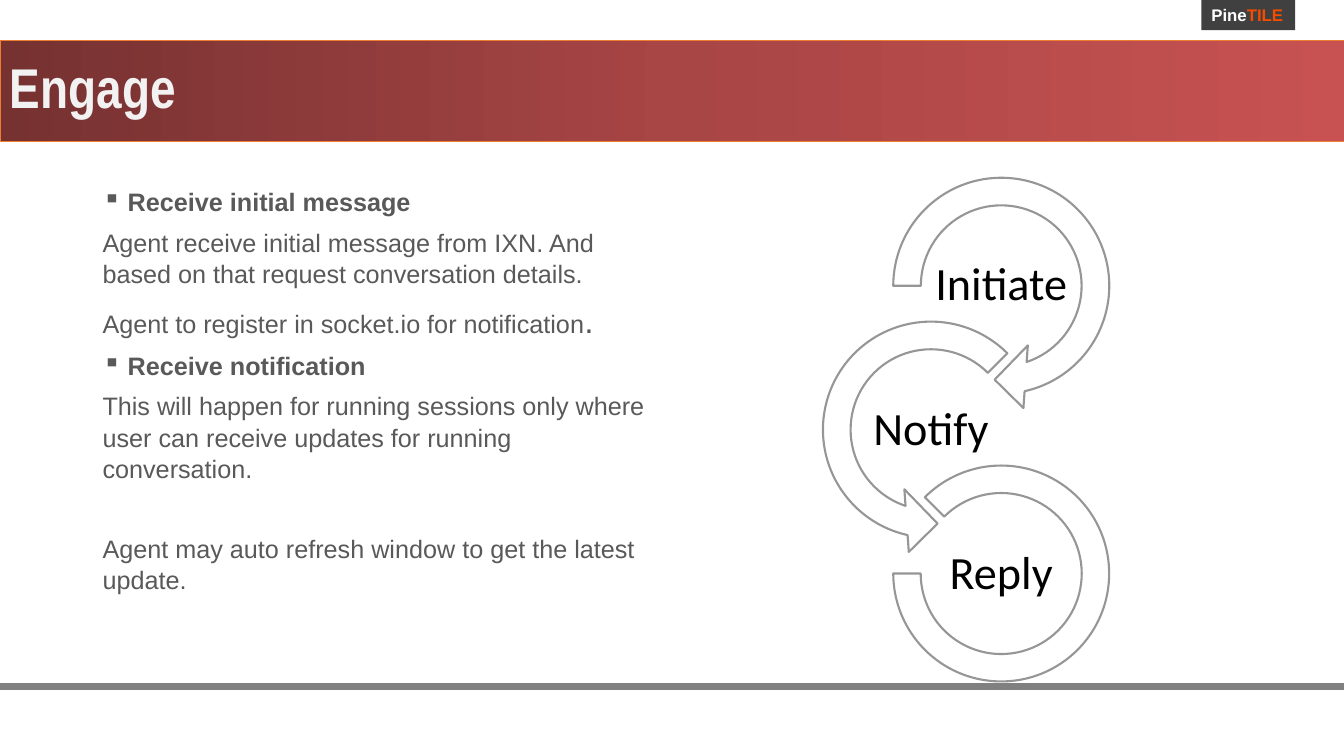
import copy

import pptx
import pptx.dml.color
import pptx.enum.shapes
import pptx.enum.text
import pptx.oxml
import pptx.oxml.ns
import pptx.util

Pt = pptx.util.Pt
RGB = pptx.dml.color.RGBColor
SHAPE = pptx.enum.shapes.MSO_SHAPE
ALIGN = pptx.enum.text.PP_ALIGN
ANCHOR = pptx.enum.text.MSO_ANCHOR
qn = pptx.oxml.ns.qn

# Colours
WHITE = RGB(0xFF, 0xFF, 0xFF)
BLACK = RGB(0, 0, 0)
CHARCOAL = RGB(0x40, 0x40, 0x40)
BADGE_ORANGE = RGB(0xF6, 0x4C, 0x00)
TITLE_GREY = RGB(0xF2, 0xF2, 0xF2)
BANNER_LINE = RGB(0xED, 0x7D, 0x31)
TEXT_GREY = RGB(0x59, 0x59, 0x59)
RING_GREY = RGB(0x96, 0x96, 0x96)
RULE_GREY = RGB(0x80, 0x80, 0x80)
BANNER_STOPS = [(0, RGB(0x76, 0x31, 0x31)), (0.5, RGB(0xA8, 0x45, 0x45)),
                (1, RGB(0xC8, 0x52, 0x52))]

# Content
TITLE = "Engage"
BADGE = [("Pine", WHITE), ("TILE", BADGE_ORANGE)]
NORMAL_GAP, WIDE_GAP = 6.5, 34.5
# Each note: is a heading, space before, runs of (text, size)
NOTES = [
    (True, NORMAL_GAP, [("Receive initial message", 18)]),
    (False, NORMAL_GAP, [("Agent receive initial message from IXN. And based on "
                          "that request conversation details.", 18)]),
    (False, NORMAL_GAP, [("Agent to register in socket.io for notification", 18),
                         (".", 24)]),
    (True, NORMAL_GAP, [("Receive notification", 18)]),
    (False, NORMAL_GAP, [("This will happen for running sessions only where user can "
                          "receive updates for running conversation.", 18)]),
    (False, WIDE_GAP, [("Agent may auto refresh window to get the latest update.", 18)]),
]
# Each step: label, shape, diameter, centre x, adjustments
STEPS = [
    ("Initiate", SHAPE.CIRCULAR_ARROW, 179.4, 715.2, (0.11, 11.423, 45, 108, 0.125)),
    ("Notify", SHAPE.LEFT_CIRCULAR_ARROW, 179.4, 665, (0.11, 11.423, 63, 189, 0.125)),
    ("Reply", SHAPE.BLOCK_ARC, 154.2, 715.2, (135, 108, 0.127)),
]

# Layout
PAGE_W, PAGE_H = 960, 540
FIRST_CENTRE_Y = 204.1
RING_PITCH, LABEL_PITCH = 102.8, 103.3
LABEL_W, LABEL_H = 99.4, 49.7


def add_run(para, text, font, size, color, bold=False):
    span = para.add_run()
    span.text = text
    span.font.name = font
    span.font.size = Pt(size)
    span.font.bold = bold
    span.font.color.rgb = color


def add_box(shapes, left, top, width, height, wrap=True):
    box = shapes.add_textbox(Pt(left), Pt(top), Pt(width), Pt(height))
    box.text_frame.word_wrap = wrap
    return box


def add_bullet(para):
    props = para._p.get_or_add_pPr()
    props.set("marL", str(Pt(18)))
    props.set("indent", str(-Pt(18)))
    pptx.oxml.ns.nsdecls("a")
    bullet = props.makeelement(qn("a:buChar"), {"char": "▪"})
    props.append(bullet)


deck = pptx.Presentation()
deck.slide_width, deck.slide_height = Pt(PAGE_W), Pt(PAGE_H)
page = deck.slides.add_slide(deck.slide_layouts[6])

# Footer rule
rule = page.shapes.add_connector(pptx.enum.shapes.MSO_CONNECTOR.STRAIGHT,
                                 Pt(0), Pt(490.3), Pt(PAGE_W), Pt(490.3))
rule.line.color.rgb = RULE_GREY
rule.line.width = Pt(4.5)
rule_props = rule._element.spPr
rule_props.append(rule_props.makeelement(qn("a:effectLst"), {}))

# Badge
badge = add_box(page.shapes, 858.2, 0, 67, 21.6, wrap=False)
badge.fill.solid()
badge.fill.fore_color.rgb = CHARCOAL
for text, color in BADGE:
    add_run(badge.text_frame.paragraphs[0], text, "Arial", 12, color, True)

# Title banner
banner = page.shapes.add_shape(SHAPE.RECTANGLE, Pt(0), Pt(28.8), Pt(PAGE_W), Pt(72))
banner.shadow.inherit = False
banner.line.color.rgb = BANNER_LINE
banner.line.width = Pt(0.5)
banner.fill.gradient()
banner.fill.gradient_angle = 0
stop_list = banner._element.spPr.find(qn("a:gradFill")).find(qn("a:gsLst"))
stop_list.append(copy.deepcopy(stop_list[0]))
for stop, (position, color) in zip(banner.fill.gradient_stops, BANNER_STOPS):
    stop.position = position
    stop.color.rgb = color
banner.text_frame.vertical_anchor = ANCHOR.MIDDLE
para = banner.text_frame.paragraphs[0]
para.alignment = ALIGN.LEFT
para.line_spacing = 0.9
add_run(para, TITLE, "Arial Narrow", 40, TITLE_GREY, True)

# Step rings, each with its label on top
cycle = page.shapes.add_group_shape()
for index, (label, kind, size, centre_x, adjustments) in enumerate(STEPS):
    ring_y = FIRST_CENTRE_Y + index * RING_PITCH
    ring = cycle.shapes.add_shape(kind, Pt(centre_x - size / 2), Pt(ring_y - size / 2),
                                  Pt(size), Pt(size))
    ring.shadow.inherit = False
    for number, value in enumerate(adjustments):
        ring.adjustments[number] = value
    ring.fill.solid()
    ring.fill.fore_color.rgb = WHITE
    ring.line.color.rgb = RING_GREY
    ring.line.width = Pt(1.5)

    label_y = FIRST_CENTRE_Y + index * LABEL_PITCH
    box = add_box(cycle.shapes, centre_x - LABEL_W / 2, label_y - LABEL_H / 2,
                  LABEL_W, LABEL_H)
    frame = box.text_frame
    frame.vertical_anchor = ANCHOR.MIDDLE
    frame.margin_left = frame.margin_right = Pt(1.5)
    frame.margin_top = frame.margin_bottom = Pt(1.5)
    para = frame.paragraphs[0]
    para.alignment = ALIGN.CENTER
    para.line_spacing = 0.9
    add_run(para, label, "Calibri", 33, BLACK)

# Notes
notes_frame = add_box(page.shapes, 66.2, 128.9, 408.2, 342.7).text_frame
for index, (heading, gap, spans) in enumerate(NOTES):
    para = notes_frame.add_paragraph() if index else notes_frame.paragraphs[0]
    para.space_before = Pt(gap)
    para.line_spacing = 1.04
    if heading:
        add_bullet(para)
    for text, size in spans:
        add_run(para, text, "Arial", size, TEXT_GREY, heading)

deck.save("out.pptx")
